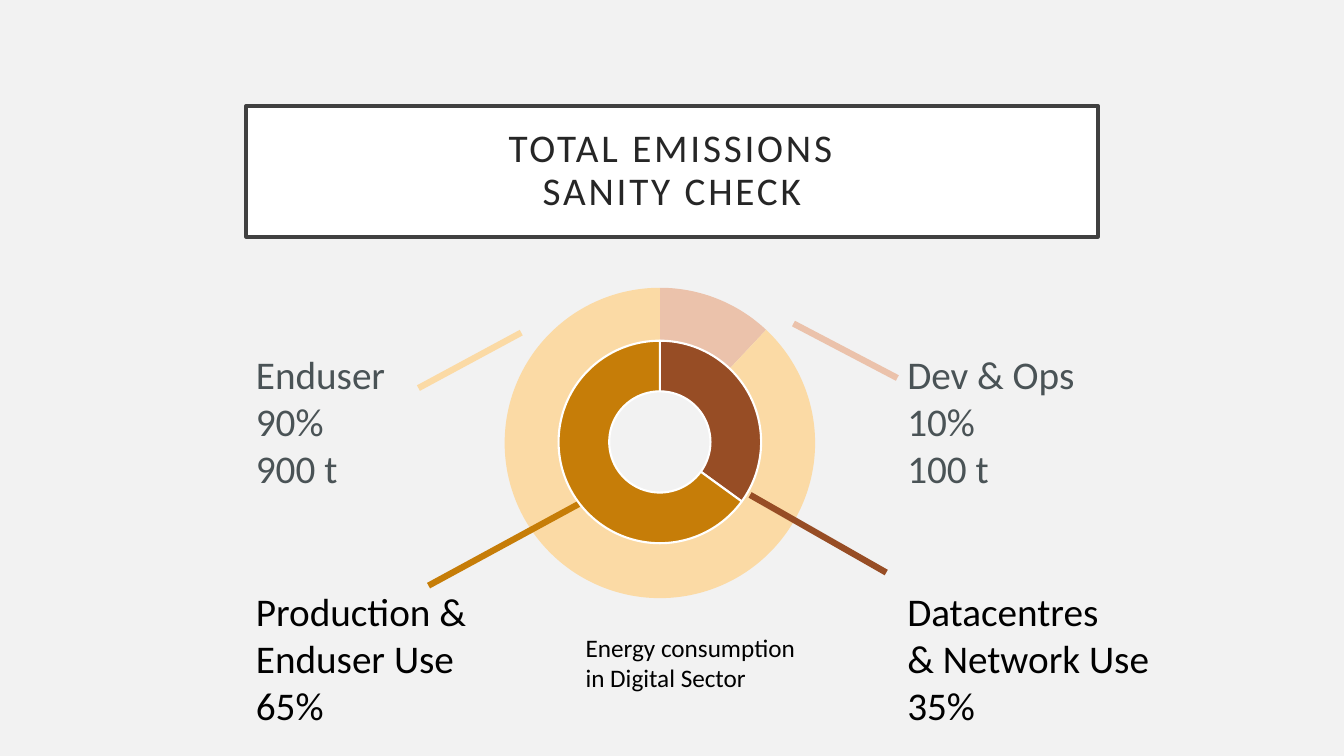
from lxml.etree import SubElement
from pptx import Presentation
from pptx.chart.data import CategoryChartData
from pptx.dml.color import RGBColor
from pptx.enum.chart import XL_CHART_TYPE as ChartType
from pptx.enum.shapes import MSO_CONNECTOR as Connector
from pptx.enum.text import MSO_ANCHOR as Anchor, MSO_AUTO_SIZE as AutoSize, PP_ALIGN as Align
from pptx.oxml import parse_xml
from pptx.oxml.ns import nsdecls, qn
from pptx.util import Inches, Pt

BACKGROUND = RGBColor(0xF2, 0xF2, 0xF2)
WHITE = RGBColor(0xFF, 0xFF, 0xFF)
BLACK = RGBColor(0x00, 0x00, 0x00)
FRAME = RGBColor(0x40, 0x40, 0x40)
TITLE_TEXT = RGBColor(0x26, 0x26, 0x26)
SLATE = RGBColor(0x4A, 0x53, 0x56)
PALE_BROWN = RGBColor(0xEB, 0xC2, 0xAB)
PALE_AMBER = RGBColor(0xFB, 0xDA, 0xA5)
BROWN = RGBColor(0x97, 0x4D, 0x25)
AMBER = RGBColor(0xC6, 0x7D, 0x08)


class EmissionsSlide:
    font = "Calibri"
    label_size = 28
    caption_size = 18
    group_gap = Pt(68)

    def __init__(self, prs):
        self.s = prs.slides.add_slide(prs.slide_layouts[5])
        self.s.background.fill.solid()
        self.s.background.fill.fore_color.rgb = BACKGROUND

    def style(self, font, size, color):
        font.name = self.font
        font.size = Pt(size)
        font.color.rgb = color

    def title(self, text, left, top, width, height):
        sp = self.s.shapes.title
        sp.left, sp.top, sp.width, sp.height = map(Inches, (left, top, width, height))
        sp.fill.solid()
        sp.fill.fore_color.rgb = WHITE
        sp.line.color.rgb = FRAME
        sp.line.width = Pt(2.5)
        tf = sp.text_frame
        tf.text = text
        tf.auto_size = AutoSize.NONE
        tf.vertical_anchor = Anchor.MIDDLE
        tf.margin_left = tf.margin_right = tf.margin_top = tf.margin_bottom = Inches(0.2)
        p = tf.paragraphs[0]
        p.alignment = Align.CENTER
        p.line_spacing = 0.9
        self.style(p.font, self.label_size, TITLE_TEXT)
        for r in p.runs:
            r.font._element.set("spc", "200")

    def text(self, groups, left, top, width, height, size, wrap=True):
        sp = self.s.shapes.add_textbox(*map(Inches, (left, top, width, height)))
        tf = sp.text_frame
        tf.word_wrap = wrap
        tf.auto_size = AutoSize.SHAPE_TO_FIT_TEXT
        p = None
        for color, lines in groups:
            for i, line in enumerate(lines):
                if p is None:
                    p = tf.paragraphs[0]
                else:
                    p = tf.add_paragraph()
                    if i == 0:
                        p.space_before = self.group_gap
                p.text = line
                self.style(p.font, size, color)

    def line(self, start, end, color):
        cxn = self.s.shapes.add_connector(Connector.STRAIGHT, *map(Inches, start + end))
        cxn.line.color.rgb = color
        cxn.line.width = Pt(4.5)
        SubElement(cxn._element.spPr, qn("a:effectLst"))

    def doughnut(self, values, colors, top, height, diameter, border):
        left, width = 4.45, 4.19
        data = CategoryChartData()
        data.categories = ["1", "2"]
        data.add_series("Series 1", values)
        chart = self.s.shapes.add_chart(
            ChartType.DOUGHNUT, *map(Inches, (left, top, width, height)), data).chart
        chart.has_title = False
        chart.has_legend = False
        self.style(chart.font, 10, BLACK)
        plot = chart.plots[0]
        plot.vary_by_categories = True
        plot.has_data_labels = False
        for i, color in enumerate(colors):
            fmt = plot.series[0].points[i].format
            fmt.fill.solid()
            fmt.fill.fore_color.rgb = color
            if border:
                fmt.line.color.rgb = WHITE
                fmt.line.width = Pt(1.5)
            else:
                fmt.line.fill.background()
        root = chart.element
        root.find(".//" + qn("c:holeSize")).set("val", "75")
        root.find(qn("c:txPr")).addprevious(parse_xml(
            f'<c:spPr {nsdecls("c", "a")}><a:noFill/><a:ln><a:noFill/></a:ln></c:spPr>'))
        area = root.find(".//" + qn("c:plotArea"))
        for layout in area.findall(qn("c:layout")):
            area.remove(layout)
        w, h = diameter / width, diameter / height
        layout = parse_xml(f'<c:layout {nsdecls("c")}><c:manualLayout/></c:layout>')
        for tag, value in (("layoutTarget", "inner"), ("xMode", "edge"), ("yMode", "edge"),
                           ("x", (1 - w) / 2), ("y", (1 - h) / 2), ("w", w), ("h", h)):
            SubElement(layout[0], qn("c:" + tag)).set("val", str(value))
        area.insert(0, layout)


def main():
    prs = Presentation()
    prs.slide_width, prs.slide_height = Inches(13.33), Inches(7.5)
    slide = EmissionsSlide(prs)
    slide.title("TOTAL EMISSIONS\vSANITY CHECK", 2.44, 1.05, 8.45, 1.3)
    slide.text([(SLATE, ["Dev & Ops", "10%", "100 t"]),
                (BLACK, ["Datacentres", "& Network Use", "35%"])],
               8.9, 3.43, 4.19, 3.87, slide.label_size)
    slide.doughnut((12, 88), (PALE_BROWN, PALE_AMBER), 2.72, 3.35, 3.08, False)
    slide.text([(SLATE, ["Enduser", "90%", "900 t"]),
                (BLACK, ["Production &", "Enduser Use", "65%"])],
               2.44, 3.43, 2.83, 3.87, slide.label_size)
    for start, end, color in (
            ((7.87, 3.21), (8.9, 3.75), PALE_BROWN),
            ((5.17, 3.3), (4.15, 3.85), PALE_AMBER),
            ((7.44, 4.91), (8.79, 5.68), BROWN),
            ((4.25, 5.81), (5.74, 5), AMBER)):
        slide.line(start, end, color)
    slide.doughnut((35, 65), (BROWN, AMBER), 3.24, 2.29, 2.01, True)
    slide.text([(BLACK, ["Energy consumption", "in Digital Sector"])],
               5.71, 6.22, 2.36, 0.71, slide.caption_size, wrap=False)
    prs.save("out.pptx")


if __name__ == "__main__":
    main()
